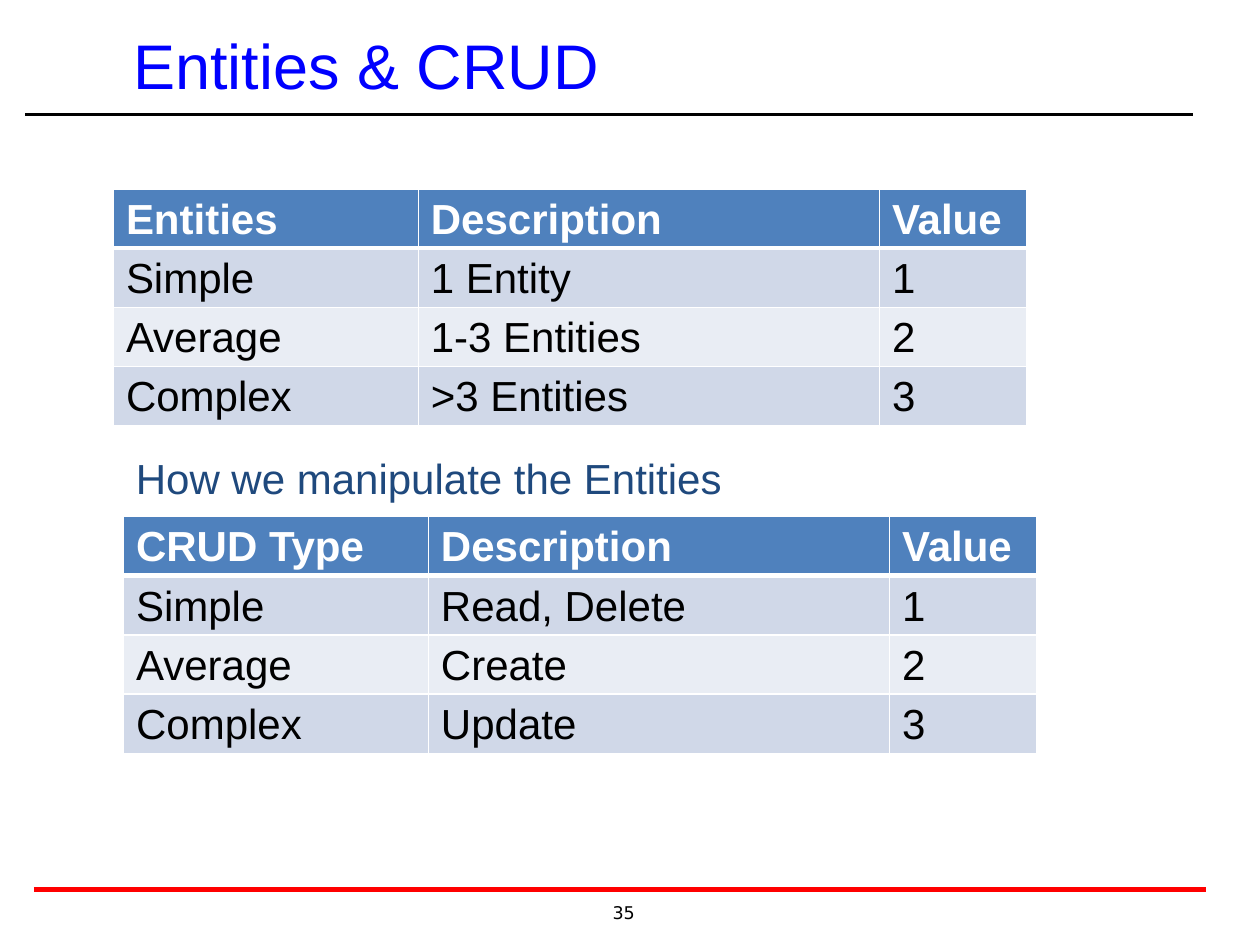
from dataclasses import dataclass

from lxml import etree
from pptx import Presentation
from pptx import util as u
from pptx.dml.color import RGBColor
from pptx.enum import shapes, text
from pptx.oxml.ns import qn


@dataclass(frozen=True)
class Theme:
    font: str = "Arial"
    number_font: str = "DejaVu Sans"
    title_size: int = 36
    body_size: int = 24
    number_size: int = 10
    title: str = "0000FF"
    subtitle: str = "1F497D"
    ink: str = "000000"
    white: str = "FFFFFF"
    accent: str = "FF0000"
    header: str = "4F81BD"
    bands: tuple = ("D0D8E8", "E9EDF4")
    line_spacing: float = 0.8


class SlideBuilder:
    def __init__(self, slide, theme):
        self.slide = slide
        self.theme = theme

    def place(self, shape, left, top, width, height):
        shape.left, shape.top = u.Inches(left), u.Inches(top)
        shape.width, shape.height = u.Inches(width), u.Inches(height)

    def style(self, paragraph, size, color, font=None, bold=False):
        paragraph.font.name = font or self.theme.font
        paragraph.font.size = u.Pt(size)
        paragraph.font.bold = bold
        paragraph.font.color.rgb = RGBColor.from_string(color)

    def clear_margins(self, frame):
        frame.margin_left = frame.margin_right = 0
        frame.margin_top = frame.margin_bottom = 0

    def title(self, content, *box):
        shape = self.slide.shapes.title
        self.place(shape, *box)
        frame = shape.text_frame
        frame.text = content
        frame.vertical_anchor = text.MSO_ANCHOR.BOTTOM
        self.clear_margins(frame)
        paragraph = frame.paragraphs[0]
        paragraph.alignment = text.PP_ALIGN.LEFT
        self.style(paragraph, self.theme.title_size, self.theme.title)

    def text_box(self, content, *box):
        shape = self.slide.shapes.add_textbox(*map(u.Inches, box))
        shape.text_frame.text = content
        return shape.text_frame

    def subtitle(self, content, *box):
        frame = self.text_box(content, *box)
        frame.word_wrap = False
        frame.vertical_anchor = text.MSO_ANCHOR.BOTTOM
        paragraph = frame.paragraphs[0]
        paragraph.line_spacing = self.theme.line_spacing
        self.style(paragraph, self.theme.body_size, self.theme.subtitle)

    def slide_number(self, content, *box):
        frame = self.text_box(content, *box)
        frame.word_wrap = True
        frame.vertical_anchor = text.MSO_ANCHOR.MIDDLE
        self.clear_margins(frame)
        paragraph = frame.paragraphs[0]
        paragraph.alignment = text.PP_ALIGN.CENTER
        self.style(paragraph, self.theme.number_size, self.theme.ink, self.theme.number_font)

    def rule(self, left, right, y, color, width):
        line = self.slide.shapes.add_connector(
            shapes.MSO_CONNECTOR.STRAIGHT,
            u.Inches(left), u.Inches(y), u.Inches(right), u.Inches(y))
        line.line.color.rgb = RGBColor.from_string(color)
        line.line.width = u.Pt(width)
        etree.SubElement(line._element.spPr, qn("a:effectLst"))

    def borders(self, cell, row):
        widths = {"lnL": 1, "lnR": 1, "lnT": 3 if row == 1 else 1, "lnB": 3 if row == 0 else 1}
        properties = cell._tc.get_or_add_tcPr()
        for side, width in widths.items():
            border = etree.SubElement(properties, qn(f"a:{side}"), w=str(u.Pt(width)))
            fill = etree.SubElement(border, qn("a:solidFill"))
            etree.SubElement(fill, qn("a:srgbClr"), val=self.theme.white)

    def cell(self, cell, content, row):
        theme = self.theme
        is_header = row == 0
        self.borders(cell, row)
        cell.fill.solid()
        color = theme.header if is_header else theme.bands[(row - 1) % 2]
        cell.fill.fore_color.rgb = RGBColor.from_string(color)
        cell.vertical_anchor = text.MSO_ANCHOR.BOTTOM
        cell.text = content
        paragraph = cell.text_frame.paragraphs[0]
        paragraph.line_spacing = theme.line_spacing
        self.style(paragraph, theme.body_size, theme.white if is_header else theme.ink, bold=is_header)

    def table(self, rows, left, top, column_widths, row_height):
        frame = self.slide.shapes.add_table(
            len(rows), len(column_widths), u.Inches(left), u.Inches(top),
            u.Inches(sum(column_widths)), u.Inches(row_height * len(rows)))
        for column, width in zip(frame.table.columns, column_widths):
            column.width = u.Inches(width)
        for row, values in enumerate(rows):
            for column, value in enumerate(values):
                self.cell(frame.table.cell(row, column), value, row)


ENTITIES = [
    ("Entities", "Description", "Value"),
    ("Simple", "1 Entity", "1"),
    ("Average", "1-3 Entities", "2"),
    ("Complex", ">3 Entities", "3"),
]
CRUD_TYPES = [
    ("CRUD Type", "Description", "Value"),
    ("Simple", "Read, Delete", "1"),
    ("Average", "Create", "2"),
    ("Complex", "Update", "3"),
]
COLUMN_WIDTHS = (2.42, 3.66, 1.17)
ROW_HEIGHT = 0.47


def main():
    presentation = Presentation()
    presentation.slide_width = u.Inches(10)
    presentation.slide_height = u.Inches(7.5)
    theme = Theme()
    slide = presentation.slides.add_slide(presentation.slide_layouts.get_by_name("Title Only"))
    builder = SlideBuilder(slide, theme)

    builder.rule(0.2, 9.47, 0.91, theme.ink, 2)
    builder.slide_number("35", 4.7, 7.12, 0.5, 0.25)
    builder.rule(0.27, 9.57, 7.06, theme.accent, 3)
    builder.title("Entities & CRUD", 1.06, 0.21, 8.43, 0.6)
    builder.table(ENTITIES, 0.9, 1.5, COLUMN_WIDTHS, ROW_HEIGHT)
    builder.table(CRUD_TYPES, 0.98, 4.1, COLUMN_WIDTHS, ROW_HEIGHT)
    builder.subtitle("How we manipulate the Entities", 0.98, 3.62, 4.96, 0.42)

    presentation.save("out.pptx")


if __name__ == "__main__":
    main()
